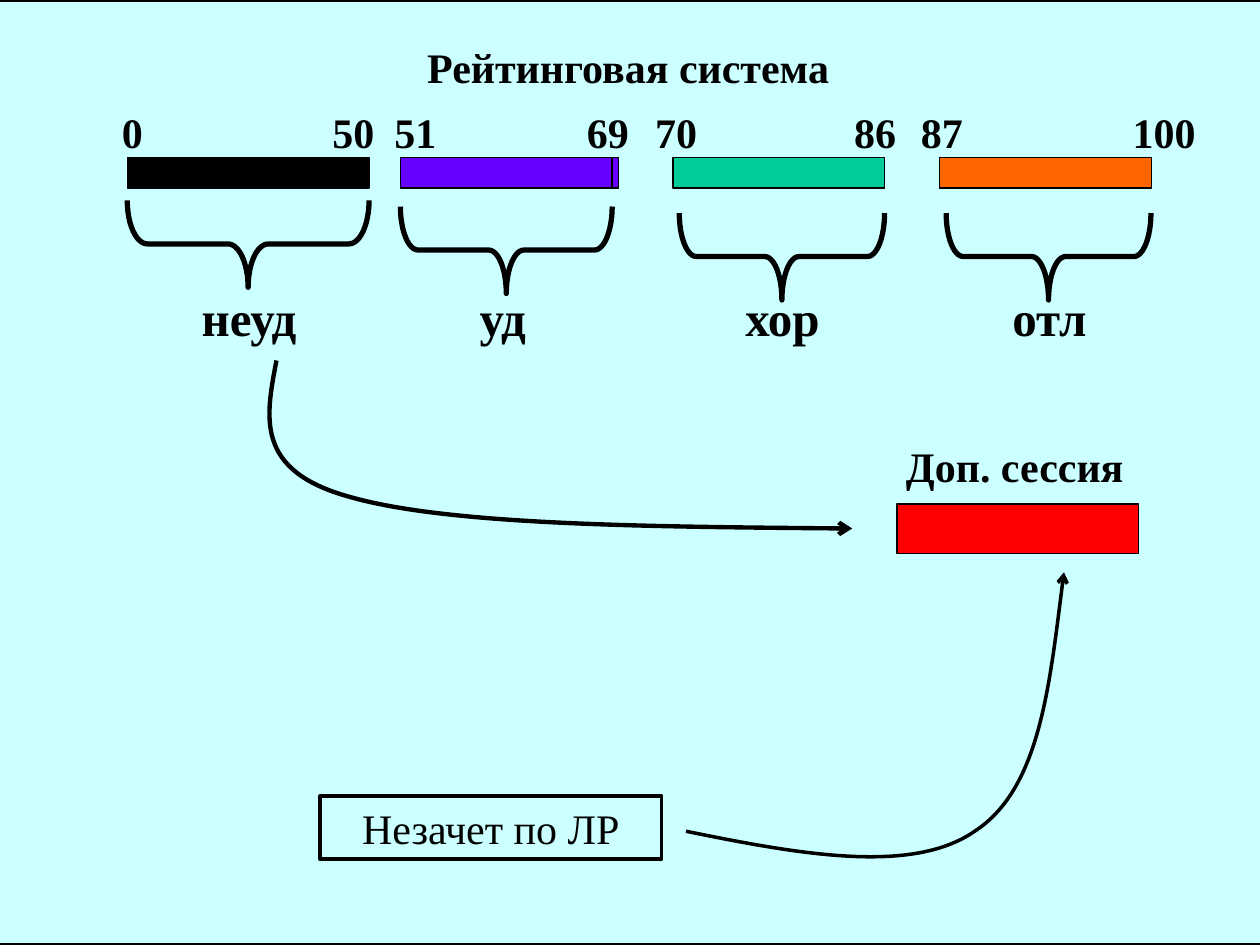
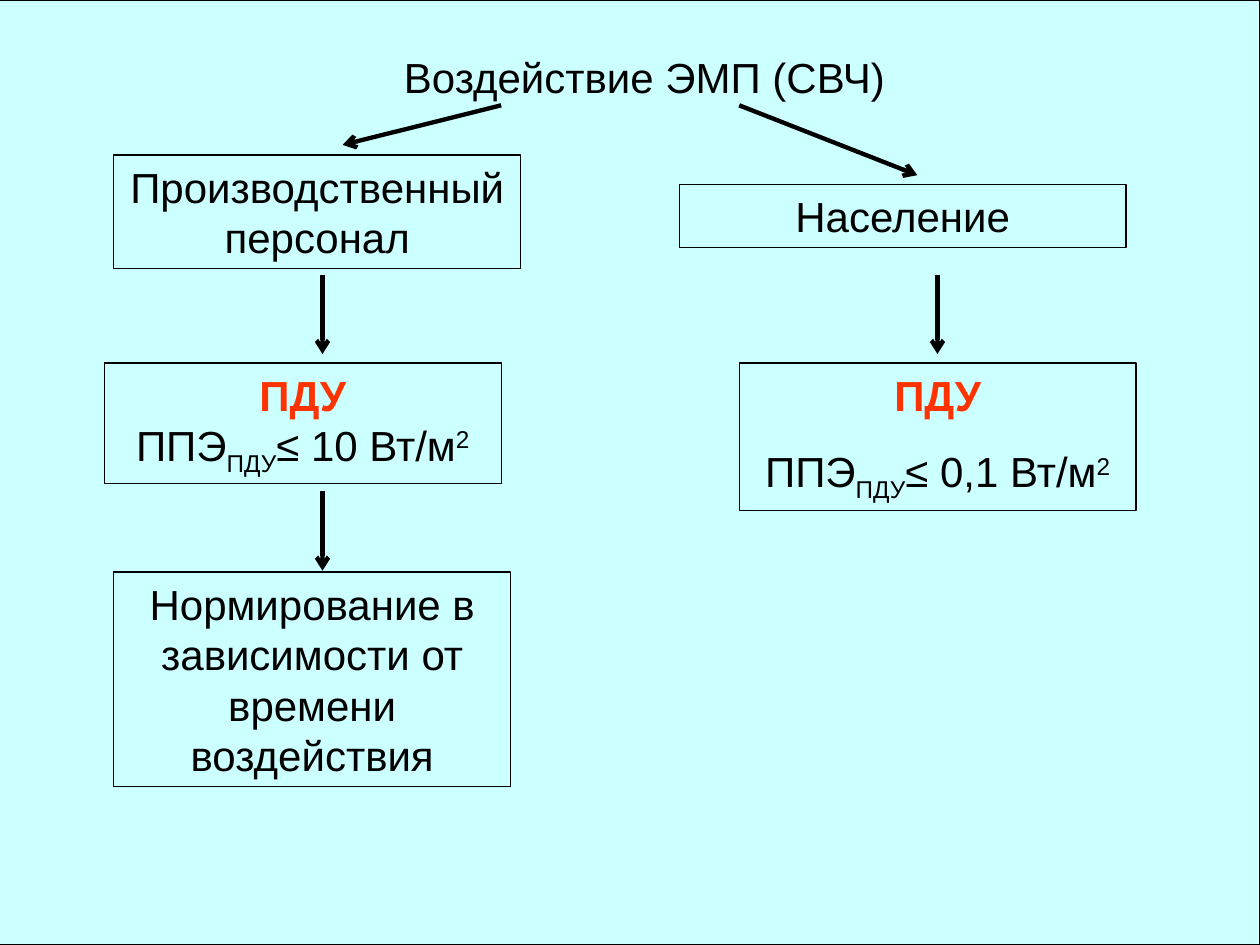
import pptx
import pptx.util
import pptx.dml.color
import pptx.enum.shapes
import pptx.enum.text
import pptx.oxml
import pptx.oxml.ns
import lxml.etree

Pt = pptx.util.Pt
qn = pptx.oxml.ns.qn
SHAPES = pptx.enum.shapes.MSO_SHAPE
CENTER = pptx.enum.text.PP_ALIGN.CENTER
LEFT = pptx.enum.text.PP_ALIGN.LEFT

COLORS = {
    "background": "CCFFFF",
    "ink": "000000",
    "violet": "6600FF",
    "green": "00CC99",
    "orange": "FF6600",
    "red": "FF0000",
    "limit": "FF3300",
}
RGB = {name: pptx.dml.color.RGBColor.from_string(value) for name, value in COLORS.items()}

SERIF = {"name": "Times New Roman", "size": Pt(24), "bold": False}
SERIF_BOLD = {**SERIF, "bold": True}
GRADE = {**SERIF_BOLD, "size": Pt(28)}
SANS = {"name": "Arial", "size": Pt(24), "bold": False}
SANS_BOLD = {**SANS, "bold": True}


def style_shape(shape, line_width, fill=None, arrow=False):
    shape.line.color.rgb = RGB["ink"]
    shape.line.width = Pt(line_width)
    if hasattr(shape, "fill"):
        shape.shadow.inherit = False
        if fill:
            shape.fill.solid()
            shape.fill.fore_color.rgb = RGB[fill]
        else:
            shape.fill.background()
    else:
        lxml.etree.SubElement(shape._element.spPr, qn("a:effectLst"))
    if arrow:
        line = shape.line._get_or_add_ln()
        lxml.etree.SubElement(line, qn("a:tailEnd"), type="arrow")


def write_text(shape, paragraphs, alignment=CENTER, space_before=0):
    frame = shape.text_frame
    frame.word_wrap = True
    frame.auto_size = pptx.enum.text.MSO_AUTO_SIZE.SHAPE_TO_FIT_TEXT
    frame.vertical_anchor = pptx.enum.text.MSO_ANCHOR.TOP
    for index, runs in enumerate(paragraphs):
        paragraph = frame.add_paragraph() if index else frame.paragraphs[0]
        paragraph.alignment = alignment
        if index:
            paragraph.space_before = Pt(space_before)
        for text, font_format, color, baseline in runs:
            run = paragraph.add_run()
            run.text = text
            for attribute, value in font_format.items():
                setattr(run.font, attribute, value)
            run.font.color.rgb = RGB[color]
            if baseline:
                run.font._element.set("baseline", str(baseline * 1000))


presentation = pptx.Presentation()
presentation.slide_width = Pt(720)
presentation.slide_height = Pt(540)

slides = []
for left, line_width in [(-8.6, 2.5), (-14.4, 0.75)]:
    slide = presentation.slides.add_slide(presentation.slide_layouts[6])
    background = slide.shapes.add_shape(SHAPES.RECTANGLE, Pt(left), 0, Pt(734.4), Pt(540))
    style_shape(background, line_width, "background")
    slides.append(slide)
rating_slide, exposure_slide = slides

captions = [
    (rating_slide, "Рейтинговая система", 117.4, 20.2, 483, 36, SERIF_BOLD, CENTER),
    (rating_slide, "Доп. сессия", 501.8, 248.4, 156.2, 36, SERIF_BOLD, CENTER),
    (exposure_slide, "Воздействие ЭМП (СВЧ)", 167, 26, 402.5, 36, SANS, CENTER),
]
for text, left, width in [
    ("0", 62.6, 49.7), ("50", 182.9, 49.7), ("51", 218.2, 49.7), ("69", 328.3, 49.7),
    ("70", 367.2, 49.7), ("86", 481, 49.7), ("87", 519.1, 49.7), ("100", 640.1, 70.6),
]:
    captions.append((rating_slide, text, left, 57.6, width, 36, SERIF_BOLD, LEFT))
for text, left in [("неуд", 66), ("уд", 211), ("хор", 370.8), ("отл", 523.4)]:
    captions.append((rating_slide, text, left, 160.6, 152.6, 41, GRADE, CENTER))
for slide, text, left, top, width, height, font_format, alignment in captions:
    caption = slide.shapes.add_textbox(Pt(left), Pt(top), Pt(width), Pt(height))
    write_text(caption, [[(text, font_format, "ink", 0)]], alignment)

for left, top, width, height, fill in [
    (72.7, 90, 138.2, 17.5, "ink"),
    (232.3, 90, 121, 17.5, "violet"),
    (228.8, 90, 121, 17.5, "violet"),
    (384.5, 90, 121, 17.5, "green"),
    (537, 90, 121, 17.5, "orange"),
    (512.6, 288, 138.2, 28.3, "red"),
]:
    bar = rating_slide.shapes.add_shape(SHAPES.RECTANGLE, Pt(left), Pt(top), Pt(width), Pt(height))
    style_shape(bar, 0.75, fill)

brace_depth = 49.7
for left, top, span in [
    (72.7, 114.5, 138.2), (228.8, 118, 121), (388.2, 121.7, 117.3), (540.7, 121.7, 117),
]:
    brace = rating_slide.shapes.add_shape(
        SHAPES.LEFT_BRACE,
        Pt(left + (span - brace_depth) / 2), Pt(top + (brace_depth - span) / 2),
        Pt(brace_depth), Pt(span),
    )
    brace.rotation = 270
    brace.adjustments[0] = span / 12 / brace_depth
    style_shape(brace, 3)

for points, line_width in [
    ([(391.7, 475.2), (456.5, 488.2), (521.3, 500.4), (557.3, 475.2),
      (594, 450.7), (600.5, 388.8), (607.7, 326.9)], 2),
    ([(157.7, 205.9), (151.9, 237.6), (145.4, 268.6), (200.2, 284.4),
      (255.6, 300.2), (371.5, 301), (487.4, 301.7)], 2.5),
]:
    builder = rating_slide.shapes.build_freeform(*points[0], scale=Pt(1))
    builder.add_line_segments(points[1:], close=False)
    curve = builder.convert_to_shape()
    outline = curve._element.find(".//" + qn("a:path"))
    segments = outline.findall(qn("a:lnTo"))
    for start in range(0, len(segments), 3):
        bezier = lxml.etree.SubElement(outline, qn("a:cubicBezTo"))
        for segment in segments[start:start + 3]:
            bezier.append(segment[0])
            outline.remove(segment)
    style_shape(curve, line_width, arrow=True)

limits = [
    [
        [("ПДУ", SANS_BOLD, "limit", 0)],
        [("ППЭ", SANS, "ink", 0), ("ПДУ", SANS, "ink", -25),
         (f"≤ {value} Вт/м", SANS, "ink", 0), ("2", SANS, "ink", 30)],
    ]
    for value in ("10", "0,1")
]
for slide, paragraphs, left, top, width, height, line_width, space_before in [
    (rating_slide, [[("Незачет по ЛР", SERIF, "ink", 0)]], 182.9, 455, 195.1, 36, 2, 0),
    (exposure_slide, [[("Производственный персонал", SANS, "ink", 0)]], 65, 88.6, 232.6, 64.8, 0.75, 0),
    (exposure_slide, [[("Население", SANS, "ink", 0)]], 388.2, 105.6, 255.2, 36, 0.75, 0),
    (exposure_slide, limits[0], 59.6, 207.4, 226.8, 69.1, 0.75, 0),
    (exposure_slide, limits[1], 422.4, 207.4, 226.8, 84.2, 0.75, 15),
    (exposure_slide, [[("Нормирование в зависимости от времени воздействия", SANS, "ink", 0)]],
     65, 326.9, 226.8, 122.4, 0.75, 0),
]:
    box = slide.shapes.add_shape(SHAPES.RECTANGLE, Pt(left), Pt(top), Pt(width), Pt(height))
    style_shape(box, line_width)
    write_text(box, paragraphs, space_before=space_before)

for ends in [
    (286.4, 60.2, 195.8, 82.8),
    (422.4, 60.2, 524.2, 100.1),
    (184.3, 157, 184.3, 202.3),
    (535.7, 157, 535.7, 202.3),
    (184.3, 280.8, 184.3, 326.1),
]:
    arrow = exposure_slide.shapes.add_connector(
        pptx.enum.shapes.MSO_CONNECTOR.STRAIGHT, *[Pt(value) for value in ends]
    )
    style_shape(arrow, 2.5, arrow=True)

presentation.save("out.pptx")
